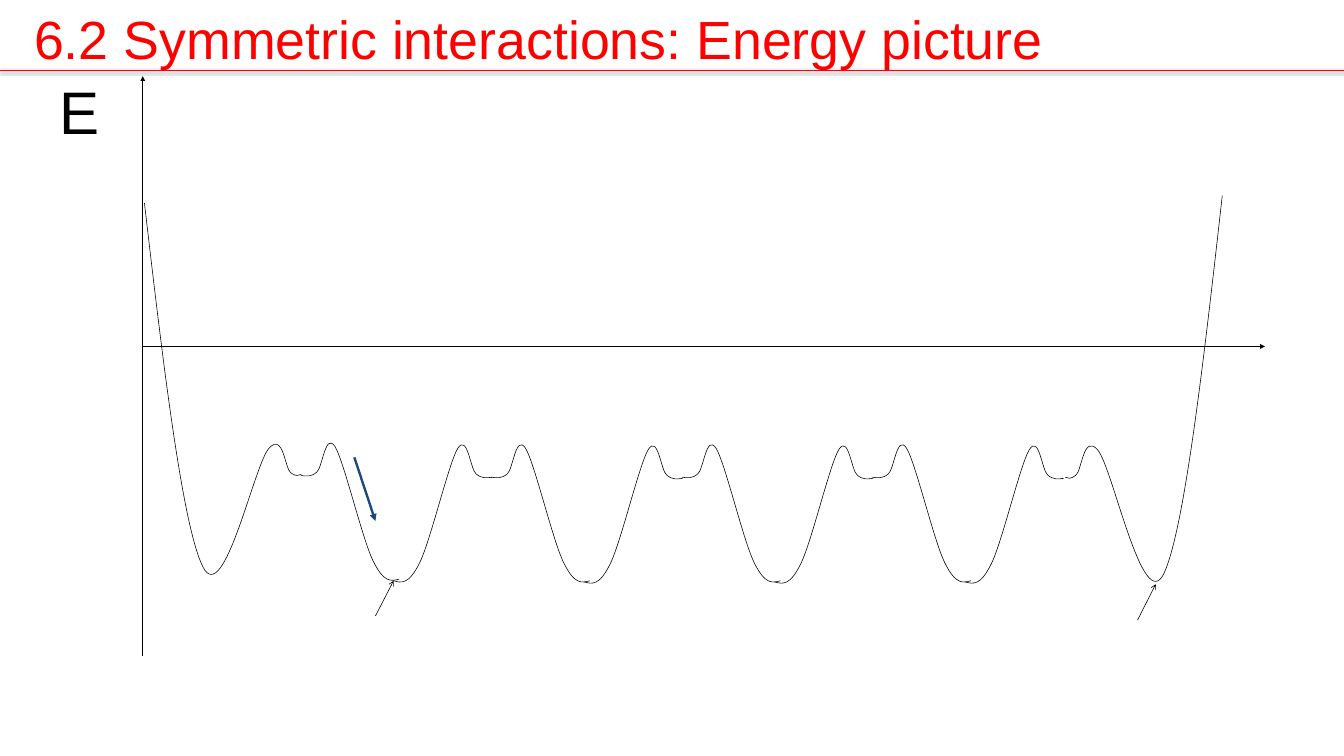
from lxml import etree
from pptx import Presentation
from pptx.dml.color import RGBColor
from pptx.enum.shapes import MSO_CONNECTOR
from pptx.enum.text import MSO_AUTO_SIZE
from pptx.oxml import parse_xml
from pptx.oxml.ns import nsdecls, qn
from pptx.util import Inches, Pt

STRAIGHT = MSO_CONNECTOR.STRAIGHT
GROW = MSO_AUTO_SIZE.SHAPE_TO_FIT_TEXT
BLACK, RED, BLUE = "000000", "FF0000", "1F497D"
SLIDE_WIDTH, SLIDE_HEIGHT = 23.63, 13.29

AXES = [
    ((2.51, 6.09), (22.24, 6.09), BLACK, 0.75, "triangle"),
    ((2.51, 11.53), (2.51, 1.34), BLACK, 0.75, "triangle"),
]
ENERGY_LABEL = ("E", (0.84, 1.2, 1.14, 1.49), 76, BLACK)
POINTERS = [
    ((6.6, 10.83), (6.92, 10.21), BLACK, 0.75, "arrow"),
    ((6.23, 8.04), (6.6, 9.16), BLUE, 3, "triangle"),
    ((20, 10.9), (20.32, 10.27), BLACK, 0.75, "arrow"),
]
TITLE = ("6.2 Symmetric interactions: Energy picture", (0.39, 0, 18.35, 1.36), 68, RED)
TITLE_RULE = ((0, 1.24), (SLIDE_WIDTH, 1.24), RED, 2)
LEFT_WALL = [
    (2.54, 3.57), (2.87, 6.42), (3.21, 9.26), (3.57, 9.97), (3.94, 10.69), (4.47, 8.16),
    (4.73, 7.88), (4.98, 7.6), (5.01, 8.23), (5.11, 8.31), (5.2, 8.38), (5.25, 8.36), (5.3, 8.34),
]
RIGHT_WALL = [
    (21.49, 3.44), (21.16, 6.39), (20.82, 9.34), (20.46, 10.09), (20.09, 10.83), (19.56, 8.2),
    (19.3, 7.91), (19.05, 7.62), (19.02, 8.27), (18.92, 8.35), (18.82, 8.43), (18.78, 8.41),
    (18.73, 8.39),
]
HALF_WELL = [
    (0, 0), (0.09, 0.01), (0.18, 0.03), (0.28, -0.06), (0.38, -0.14), (0.43, -0.77),
    (0.6, -0.51), (0.76, -0.25), (1.08, 1.12), (1.27, 1.5), (1.46, 1.89), (1.59, 1.86),
    (1.73, 1.82),
]
WELL_LEFT, WELL_RIGHT, WELL_PITCH = 5.29, 8.65, 3.35
WELL_HEIGHTS = [(8.36, 8.39), (8.39, 8.41), (8.39, 8.41), (8.39, 8.41)]


def color(hex_code):
    return RGBColor.from_string(hex_code)


def add_line(slide, start, end, hex_code, width, head=None):
    line = slide.shapes.add_connector(STRAIGHT, *(Inches(v) for v in (*start, *end)))
    line.line.color.rgb = color(hex_code)
    line.line.width = Pt(width)
    outline = line._element.spPr.find(qn("a:ln"))
    if head:
        etree.SubElement(outline, qn("a:tailEnd"), type=head)
    return etree.SubElement(line._element.spPr, qn("a:effectLst"))


def add_curve(slide, controls):
    points = [(Inches(x), Inches(y)) for x, y in controls]
    builder = slide.shapes.build_freeform(*points[0])
    builder.add_line_segments(points[1:], close=False)
    curve = builder.convert_to_shape()
    segments = list(curve._element.iter(qn("a:lnTo")))
    for first in range(0, len(segments), 3):
        bezier = etree.Element(qn("a:cubicBezTo"))
        segments[first].addprevious(bezier)
        for segment in segments[first:first + 3]:
            bezier.append(segment[0])
            segment.getparent().remove(segment)
    curve.fill.background()
    curve.line.color.rgb = color(BLACK)
    curve.line.width = Pt(0.75)
    curve.shadow.inherit = False


def add_label(slide, text, box, size, hex_code):
    frame = slide.shapes.add_textbox(*(Inches(v) for v in box)).text_frame
    frame.margin_left = frame.margin_right = Inches(0.21)
    frame.margin_top = frame.margin_bottom = Inches(0.11)
    frame.word_wrap = False
    frame.auto_size = GROW
    frame.text = text
    font = frame.paragraphs[0].runs[0].font
    font.name, font.size = "Arial", Pt(size)
    font.color.rgb = color(hex_code)


def add_title_rule(slide):
    effects = add_line(slide, *TITLE_RULE)
    effects.append(parse_xml(
        f'<a:outerShdw {nsdecls("a")} blurRad="{Pt(3.1)}" dist="{Pt(1.6)}" dir="5400000" '
        f'rotWithShape="0"><a:srgbClr val="{BLACK}"><a:alpha val="38000"/></a:srgbClr></a:outerShdw>'
    ))


def main():
    """Build the energy landscape slide."""
    presentation = Presentation()
    presentation.slide_width = Inches(SLIDE_WIDTH)
    presentation.slide_height = Inches(SLIDE_HEIGHT)
    slide = presentation.slides.add_slide(presentation.slide_layouts[6])
    for axis in AXES:
        add_line(slide, *axis)
    add_curve(slide, LEFT_WALL)
    for index, heights in enumerate(WELL_HEIGHTS):
        for left, top, direction in zip((WELL_LEFT, WELL_RIGHT), heights, (1, -1)):
            origin = left + index * WELL_PITCH
            add_curve(slide, [(origin + direction * x, top + y) for x, y in HALF_WELL])
    add_curve(slide, RIGHT_WALL)
    add_label(slide, *ENERGY_LABEL)
    for pointer in POINTERS:
        add_line(slide, *pointer)
    add_label(slide, *TITLE)
    add_title_rule(slide)
    presentation.save("out.pptx")


if __name__ == "__main__":
    main()
